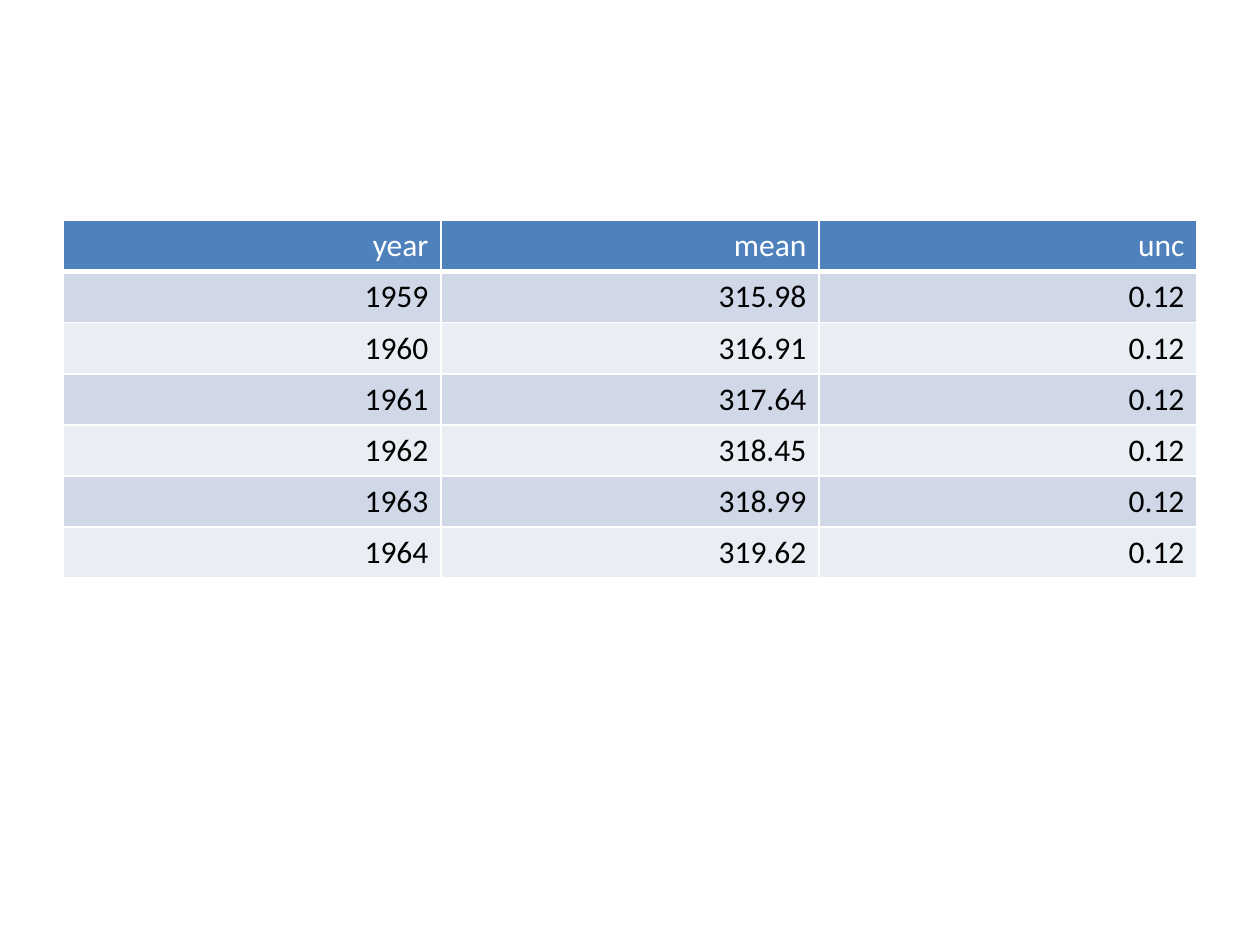
from dataclasses import dataclass

from lxml.etree import SubElement
from pptx import Presentation
from pptx.dml.color import RGBColor
from pptx.enum.text import PP_ALIGN
from pptx.oxml.ns import qn
from pptx.util import Inches, Pt


@dataclass(frozen=True)
class Theme:
    """Colours, font and sizes of the slide."""
    font: str = "Calibri"
    size: int = 18
    header_fill: str = "4F81BD"
    header_text: str = "FFFFFF"
    body_text: str = "000000"
    bands: tuple = ("D0D8E8", "E9EDF4")
    border: str = "FFFFFF"
    border_width: int = 1
    header_rule: int = 3


class SlideBuilder:
    """Adds styled elements to the current slide."""

    def __init__(self, slide, theme):
        """Keep the slide and its theme."""
        self.s = slide
        self.theme = theme

    def border(self, cell, side, width):
        """Draw one side of a cell border; side is L, R, T or B."""
        ln = SubElement(cell._tc.get_or_add_tcPr(), qn(f"a:ln{side}"), w=str(Pt(width)))
        fill = SubElement(ln, qn("a:solidFill"))
        SubElement(fill, qn("a:srgbClr"), val=self.theme.border)

    def cell(self, cell, text, fill, color, bottom):
        """Write and style one right-aligned table cell."""
        for side in "LRT":
            self.border(cell, side, self.theme.border_width)
        self.border(cell, "B", bottom)
        cell.fill.solid()
        cell.fill.fore_color.rgb = RGBColor.from_string(fill)
        cell.text_frame.text = text
        p = cell.text_frame.paragraphs[0]
        p.alignment = PP_ALIGN.RIGHT
        font = p.runs[0].font
        font.name, font.size, font.bold = self.theme.font, Pt(self.theme.size), False
        font.color.rgb = RGBColor.from_string(color)

    def table(self, rows, left, top, width, row_height):
        """Add a table with a header row and banded body rows."""
        t = self.theme
        table = self.s.shapes.add_table(
            len(rows), len(rows[0]), Inches(left), Inches(top),
            Inches(width), Inches(row_height * len(rows))).table
        for i, row in enumerate(rows):
            if i == 0:
                style = t.header_fill, t.header_text, t.header_rule
            else:
                style = t.bands[(i - 1) % 2], t.body_text, t.border_width
            for j, text in enumerate(row):
                self.cell(table.cell(i, j), text, *style)


def main():
    """Build the slide and save it."""
    prs = Presentation()
    prs.slide_width, prs.slide_height = Inches(10), Inches(7.5)
    s = prs.slides.add_slide(prs.slide_layouts[6])
    means = ["315.98", "316.91", "317.64", "318.45", "318.99", "319.62"]
    rows = [("year", "mean", "unc")]
    rows += [(str(year), mean, "0.12") for year, mean in enumerate(means, 1959)]
    SlideBuilder(s, Theme()).table(rows, left=0.5, top=1.75, width=9, row_height=0.4)
    prs.save("out.pptx")


main()
